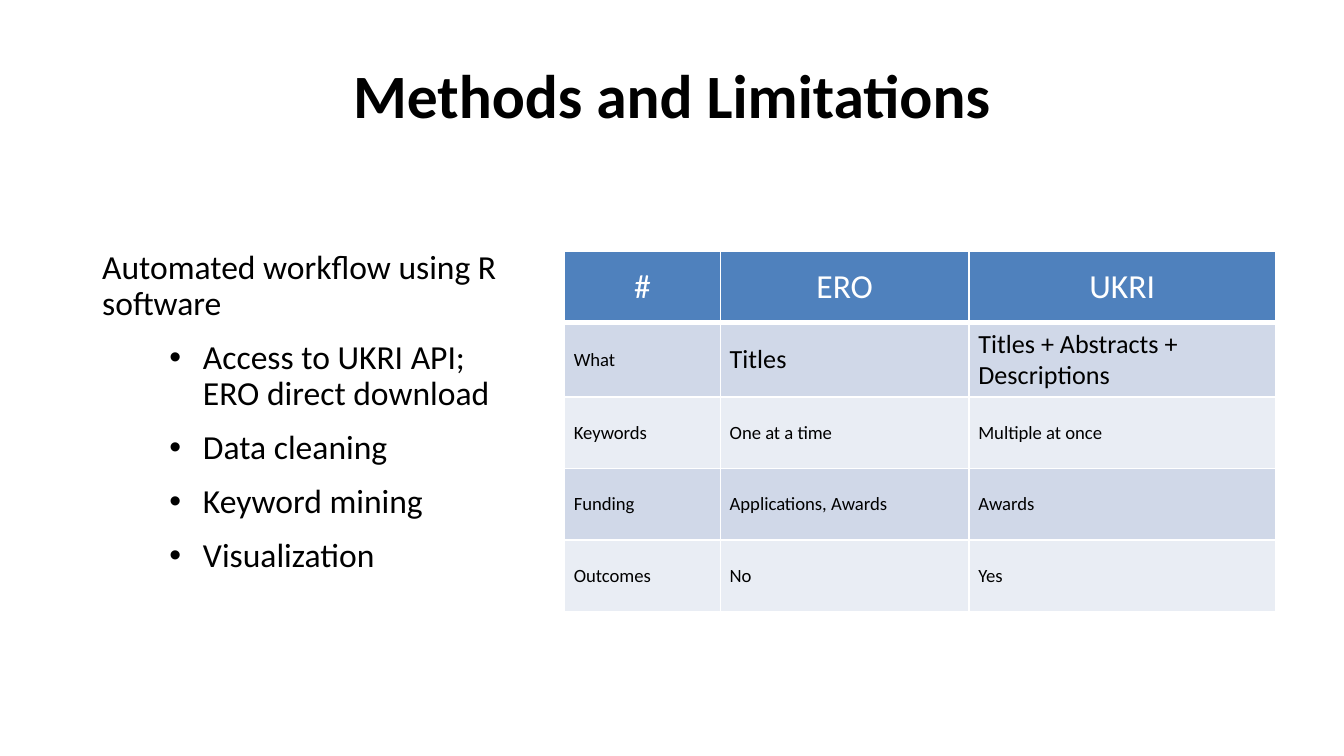
from lxml import etree
from pptx import Presentation
from pptx.dml.color import RGBColor
from pptx.enum.text import MSO_ANCHOR, MSO_AUTO_SIZE, PP_ALIGN
from pptx.oxml.ns import qn
from pptx.util import Inches, Pt

MIDDLE, TOP = MSO_ANCHOR.MIDDLE, MSO_ANCHOR.TOP
LEFT, CENTER = PP_ALIGN.LEFT, PP_ALIGN.CENTER
NO_FIT = MSO_AUTO_SIZE.NONE
FONT = "Calibri"
BLACK, WHITE, HEAD = "000000", "FFFFFF", "4F81BD"
BANDS = ("D0D8E8", "E9EDF4")

LEAD = "Automated workflow using R software"
STEPS = (
    "Access to UKRI API; ERO direct download",
    "Data cleaning",
    "Keyword mining",
    "Visualization",
)
ROWS = (
    ("#", "ERO", "UKRI"),
    ("What", "Titles", "Titles + Abstracts + Descriptions"),
    ("Keywords", "One at a time", "Multiple at once"),
    ("Funding", "Applications, Awards", "Awards"),
    ("Outcomes", "No", "Yes"),
)
WIDTHS = (1.16, 1.85, 2.28)


def color(code):
    """Turn a hex string into a colour."""
    return RGBColor.from_string(code)


def write(para, text, size, code=BLACK, bold=False, align=LEFT):
    """Add one formatted run to a paragraph."""
    para.alignment = align
    run = para.add_run()
    run.text = text
    run.font.name, run.font.size, run.font.bold = FONT, Pt(size), bold
    run.font.color.rgb = color(code)


def place(shape, box):
    """Move a shape to a box given in inches."""
    shape.left, shape.top, shape.width, shape.height = map(Inches, box)


def inset(part):
    """Set the inner margins of a frame or cell."""
    part.margin_left = part.margin_right = Inches(0.07)
    part.margin_top = part.margin_bottom = Inches(0.04)


def bullet(para, char, margin=0, indent=0):
    """Set or clear a paragraph's bullet and its indents."""
    props = para._p.get_or_add_pPr()
    props.set("marL", str(Inches(margin)))
    props.set("indent", str(Inches(indent)))
    if char:
        etree.SubElement(props, qn("a:buFont"), typeface="Arial")
        etree.SubElement(props, qn("a:buChar"), char=char)
    else:
        etree.SubElement(props, qn("a:buNone"))


def border(cell, code, base):
    """Draw a line on each side of a cell, with its own width at the base."""
    props = cell._tc.get_or_add_tcPr()
    for side, width in (("lnL", 1), ("lnR", 1), ("lnT", 1), ("lnB", base)):
        line = etree.SubElement(props, qn(f"a:{side}"), w=str(Pt(width)))
        fill = etree.SubElement(line, qn("a:solidFill"))
        etree.SubElement(fill, qn("a:srgbClr"), val=code)


def add_title(slide, box):
    """Fill the title placeholder."""
    title = slide.shapes.title
    place(title, box)
    frame = title.text_frame
    frame.auto_size, frame.vertical_anchor = NO_FIT, MIDDLE
    write(frame.paragraphs[0], "Methods and Limitations", 33, bold=True, align=CENTER)


def add_steps(slide, box):
    """Fill the body placeholder with the workflow steps."""
    body = slide.placeholders[1]
    place(body, box)
    frame = body.text_frame
    frame.auto_size, frame.vertical_anchor = NO_FIT, TOP
    frame.word_wrap = True
    inset(frame)
    for i, text in enumerate((LEAD, *STEPS)):
        para = frame.add_paragraph() if i else frame.paragraphs[0]
        para.level = 1 if i else 0
        para.line_spacing = 0.9
        para.space_before, para.space_after = Pt(5 if i else 10), Pt(4.5)
        if i:
            bullet(para, "•", 0.75, -0.25)
        else:
            bullet(para, None)
        write(para, text, 18)


def add_grid(slide, box):
    """Add the table that compares the two sources."""
    shape = slide.shapes.add_table(len(ROWS), len(WIDTHS), *map(Inches, box))
    table = shape.table
    table.first_row = table.horz_banding = False
    for col, width in zip(table.columns, WIDTHS):
        col.width = Inches(width)
    for r, texts in enumerate(ROWS):
        for c, text in enumerate(texts):
            cell = table.cell(r, c)
            border(cell, WHITE, 1 if r else 3)
            cell.fill.solid()
            cell.fill.fore_color.rgb = color(BANDS[(r - 1) % 2] if r else HEAD)
            cell.vertical_anchor = MIDDLE
            inset(cell)
            para = cell.text_frame.paragraphs[0]
            if r:
                write(para, text, 14 if r == 1 and c else 10)
            else:
                write(para, text, 18, WHITE, align=CENTER)


def main():
    """Build and save the slide."""
    deck = Presentation()
    deck.slide_width = Inches(10)
    deck.slide_height = deck.slide_width * 9 // 16
    slide = deck.slides.add_slide(deck.slide_layouts[1])
    add_title(slide, (0.5, 0.23, 9, 0.94))
    add_steps(slide, (0.69, 1.82, 3.18, 2.96))
    add_grid(slide, (4.2, 1.87, 5.29, 2.66))
    deck.save("out.pptx")


if __name__ == "__main__":
    main()
